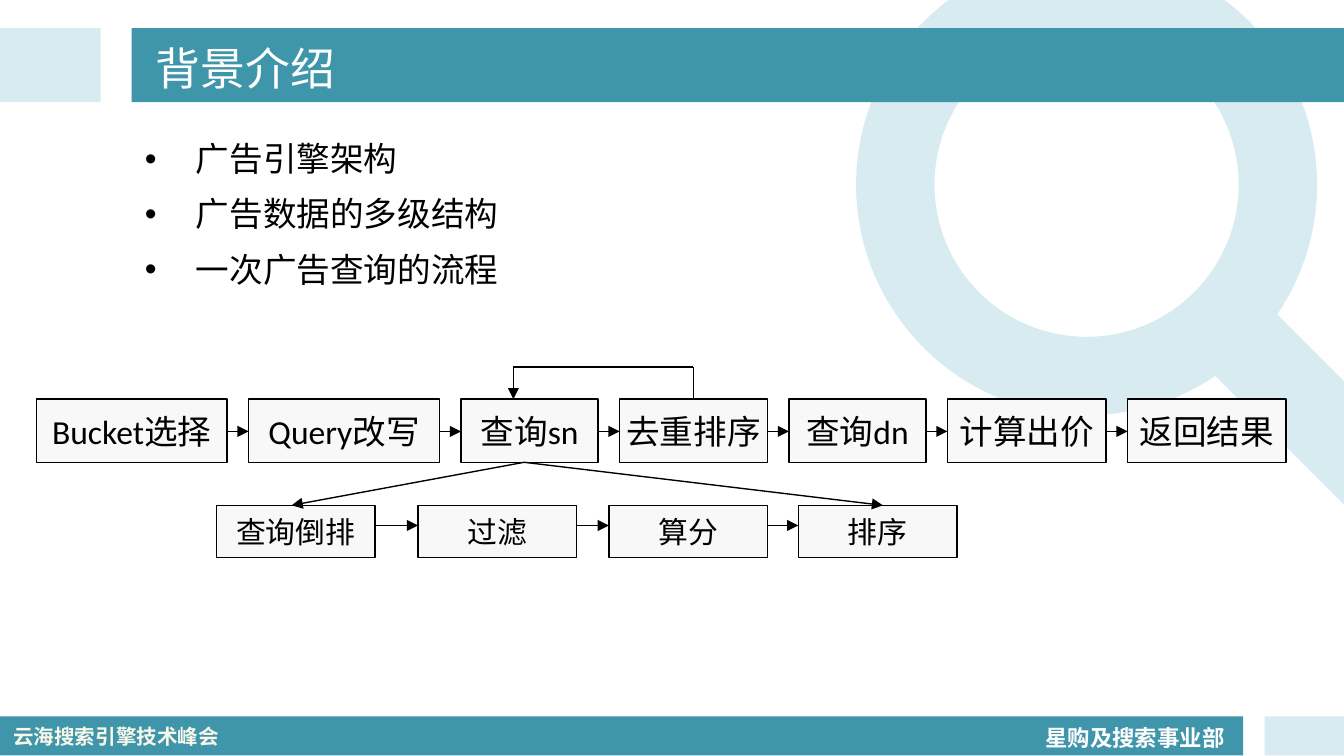
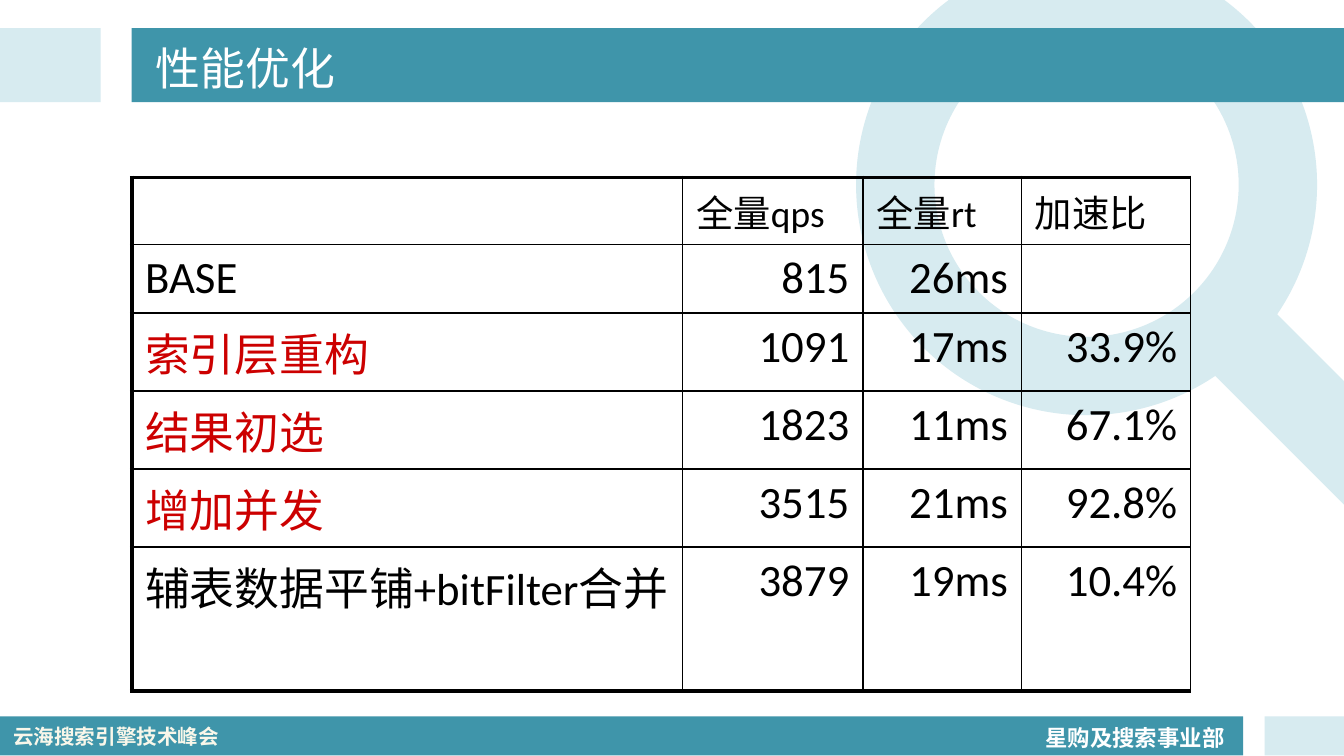
"""Build two slides on an advertising engine: its query flow and its performance gains."""
from typing import NamedTuple

from lxml.etree import SubElement
from pptx import Presentation
from pptx.dml.color import RGBColor
from pptx.enum.shapes import MSO_CONNECTOR as Connector, MSO_SHAPE as Shape
from pptx.enum.text import MSO_ANCHOR as Anchor, MSO_AUTO_SIZE as AutoSize, PP_ALIGN as Align
from pptx.oxml.ns import qn
from pptx.util import Inches, Pt

COLORS = {
    "teal": "3F95AA",
    "pale": "D7EBF0",
    "white": "FFFFFF",
    "cream": "F9F7EA",
    "box": "F8F8F8",
    "black": "000000",
    "red": "CC0000",
}
LATIN_FONT = "Calibri"
CJK_FONT = "Noto Sans CJK SC"
SLIDE_WIDTH = 10
SLIDE_HEIGHT = SLIDE_WIDTH * 9 / 16


class Part(NamedTuple):
    left: float
    top: float
    width: float
    height: float
    color: str
    kind: Shape = Shape.RECTANGLE
    adjustment: float | None = None
    rotation: float = 0


class Step(NamedTuple):
    label: str
    left: float
    width: float


class Link(NamedTuple):
    x1: float
    y1: float
    x2: float
    y2: float
    arrow: bool = True


BACKDROP = [
    Part(6.37, -0.34, 3.43, 3.43, "pale", Shape.DONUT, 0.17),
    Part(8.66, 2.7, 2.14, 0.65, "pale", Shape.ROUNDED_RECTANGLE, 0.5, 45),
    Part(0, 5.33, 9.25, 0.29, "teal"),
    Part(9.41, 5.33, 0.59, 0.29, "pale"),
    Part(0, 0.21, 0.75, 0.55, "pale"),
    Part(0.98, 0.21, 9.02, 0.55, "teal"),
]

TOPICS = ["广告引擎架构", "广告数据的多级结构", "一次广告查询的流程"]

QUERY_STEPS = [
    ("Bucket选择", 1.42),
    ("Query改写", 1.42),
    ("查询sn", 1.02),
    ("去重排序", 1.1),
    ("查询dn", 1.02),
    ("计算出价", 1.18),
    ("返回结果", 1.18),
]
QUERY_LEFT, QUERY_GAP = 0.27, 0.16
QUERY_TOP, QUERY_HEIGHT = 2.97, 0.47
SEARCH_STEPS = [
    Step(label, left, 1.18)
    for label, left in [("查询倒排", 1.61), ("过滤", 3.11), ("算分", 4.53), ("排序", 5.94)]
]
SEARCH_TOP, SEARCH_HEIGHT = 3.76, 0.39
LOOP_TOP = 2.73
BRANCHES_AND_LOOP = [
    Link(3.9, 3.44, 2.17, SEARCH_TOP),
    Link(3.9, 3.44, 6.57, SEARCH_TOP),
    Link(5.16, QUERY_TOP, 5.16, LOOP_TOP, arrow=False),
    Link(5.16, LOOP_TOP, 3.82, LOOP_TOP, arrow=False),
    Link(3.82, LOOP_TOP, 3.82, QUERY_TOP),
]

RESULTS = [
    ("", "全量qps", "全量rt", "加速比"),
    ("BASE", "815", "26ms", ""),
    ("索引层重构", "1091", "17ms", "33.9%"),
    ("结果初选", "1823", "11ms", "67.1%"),
    ("增加并发", "3515", "21ms", "92.8%"),
    ("辅表数据平铺+bitFilter合并", "3879", "19ms", "10.4%"),
]
RESULT_WIDTHS = [4.1, 1.34, 1.18, 1.26]
RESULT_HEIGHTS = [0.5, 0.51, 0.58, 0.58, 0.58, 1.07]
HIGHLIGHTED_ROWS = (2, 3, 4)


def rgb(name: str) -> RGBColor:
    return RGBColor.from_string(COLORS[name])


def write_text(frame, *lines: str, size: float = 18, color: str = "black", font: str = LATIN_FONT,
               bold: bool = False, align: Align = Align.LEFT, line_spacing: float | None = None,
               space_percent: int = 0, bullet_indent: float = 0) -> None:
    for index, line in enumerate(lines):
        paragraph = frame.add_paragraph() if index else frame.paragraphs[0]
        paragraph.alignment = align
        if line_spacing:
            paragraph.line_spacing = line_spacing
        properties = paragraph._p.get_or_add_pPr()
        if space_percent:
            before = SubElement(properties, qn("a:spcBef"))
            SubElement(before, qn("a:spcPct"), val=str(space_percent * 1000))
        if bullet_indent:
            properties.set("marL", str(Inches(bullet_indent)))
            properties.set("indent", str(-Inches(bullet_indent)))
            SubElement(properties, qn("a:buFont"), typeface="Arial")
            SubElement(properties, qn("a:buChar"), char="•")
        run = paragraph.add_run()
        run.text = line
        run.font.size = Pt(size)
        run.font.bold = bold
        run.font.name = font
        run.font.color.rgb = rgb(color)
        SubElement(run._r.get_or_add_rPr(), qn("a:ea"), typeface=CJK_FONT)


def add_text(slide, left: float, top: float, width: float, height: float, *lines: str,
             wrap: bool = True, anchor: Anchor = Anchor.TOP, grow: bool = False, **style) -> None:
    frame = slide.shapes.add_textbox(Inches(left), Inches(top), Inches(width), Inches(height)).text_frame
    frame.word_wrap = wrap
    frame.vertical_anchor = anchor
    frame.auto_size = AutoSize.SHAPE_TO_FIT_TEXT if grow else AutoSize.NONE
    write_text(frame, *lines, **style)


def add_part(slide, part: Part):
    shape = slide.shapes.add_shape(
        part.kind, Inches(part.left), Inches(part.top), Inches(part.width), Inches(part.height))
    shape.shadow.inherit = False
    shape.fill.solid()
    shape.fill.fore_color.rgb = rgb(part.color)
    shape.line.fill.background()
    shape.rotation = part.rotation
    if part.adjustment is not None:
        shape.adjustments[0] = part.adjustment
    return shape


def add_step(slide, step: Step, top: float, height: float, size: float) -> None:
    box = add_part(slide, Part(step.left, top, step.width, height, "box"))
    box.line.color.rgb = rgb("black")
    box.line.width = Pt(0.75)
    frame = box.text_frame
    frame.word_wrap = False
    frame.vertical_anchor = Anchor.MIDDLE
    write_text(frame, step.label, size=size, align=Align.CENTER)


def add_link(slide, link: Link) -> None:
    connector = slide.shapes.add_connector(
        Connector.STRAIGHT, Inches(link.x1), Inches(link.y1), Inches(link.x2), Inches(link.y2))
    connector.line.color.rgb = rgb("black")
    connector.line.width = Pt(0.75)
    if link.arrow:
        SubElement(connector.line._get_or_add_ln(), qn("a:tailEnd"), type="triangle")
    SubElement(connector._element.spPr, qn("a:effectLst"))


def add_flow(slide, steps: list[Step], top: float, height: float, size: float, link_y: float) -> None:
    for step in steps:
        add_step(slide, step, top, height, size)
    for step, following in zip(steps, steps[1:]):
        add_link(slide, Link(step.left + step.width, link_y, following.left, link_y))


def set_borders(cell, widths: dict[str, float]) -> None:
    properties = cell._tc.get_or_add_tcPr()
    for side, width in widths.items():
        border = SubElement(properties, qn(f"a:ln{side}"), w=str(Pt(width)))
        fill = SubElement(border, qn("a:solidFill"))
        SubElement(fill, qn("a:srgbClr"), val=COLORS["black"])


def add_results(slide) -> None:
    last = len(RESULTS) - 1
    table = slide.shapes.add_table(
        len(RESULTS), len(RESULT_WIDTHS), Inches(0.98), Inches(1.32),
        Inches(sum(RESULT_WIDTHS)), Inches(sum(RESULT_HEIGHTS))).table
    table.first_row = table.horz_banding = False
    for column, width in zip(table.columns, RESULT_WIDTHS):
        column.width = Inches(width)
    for row, height in zip(table.rows, RESULT_HEIGHTS):
        row.height = Inches(height)
    for row, values in enumerate(RESULTS):
        for column, value in enumerate(values):
            cell = table.cell(row, column)
            set_borders(cell, {
                "L": 1 if column else 2.25,
                "R": 1,
                "T": 1 if row else 2.25,
                "B": 2.25 if row == last else 1,
            })
            cell.fill.background()
            if value:
                write_text(
                    cell.text_frame, value,
                    size=24 if row else 20,
                    color="red" if row in HIGHLIGHTED_ROWS and column == 0 else "black",
                    align=Align.RIGHT if row and column else Align.LEFT,
                    space_percent=20)


def add_base_slide(deck, title: str):
    slide = deck.slides.add_slide(deck.slide_layouts[6])
    for part in BACKDROP:
        add_part(slide, part)
    add_text(slide, 7.68, 5.3, 1.55, 0.33, "星购及搜索事业部", wrap=False, grow=True,
             size=12, color="white", bold=True, line_spacing=1.2)
    add_text(slide, 0, 5.34, 1.77, 0.29, "云海搜索引擎技术峰会", grow=True,
             size=11, color="cream", font=CJK_FONT, bold=True)
    add_text(slide, 1.06, 0.23, 8.44, 0.54, title, anchor=Anchor.MIDDLE, size=24, color="white")
    return slide


def build_background(deck) -> None:
    slide = add_base_slide(deck, "背景介绍")
    add_text(slide, 0.98, 0.92, 8.52, 4.1, *TOPICS,
             line_spacing=1.2, space_percent=20, bullet_indent=0.38)
    query_steps = []
    left = QUERY_LEFT
    for label, width in QUERY_STEPS:
        query_steps.append(Step(label, left, width))
        left += width + QUERY_GAP
    add_flow(slide, query_steps, QUERY_TOP, QUERY_HEIGHT, 18, 3.21)
    add_flow(slide, SEARCH_STEPS, SEARCH_TOP, SEARCH_HEIGHT, 16, 3.91)
    for link in BRANCHES_AND_LOOP:
        add_link(slide, link)


def build_performance(deck) -> None:
    add_results(add_base_slide(deck, "性能优化"))


def main() -> None:
    deck = Presentation()
    deck.slide_width, deck.slide_height = Inches(SLIDE_WIDTH), Inches(SLIDE_HEIGHT)
    build_background(deck)
    build_performance(deck)
    deck.save("out.pptx")


if __name__ == "__main__":
    main()
